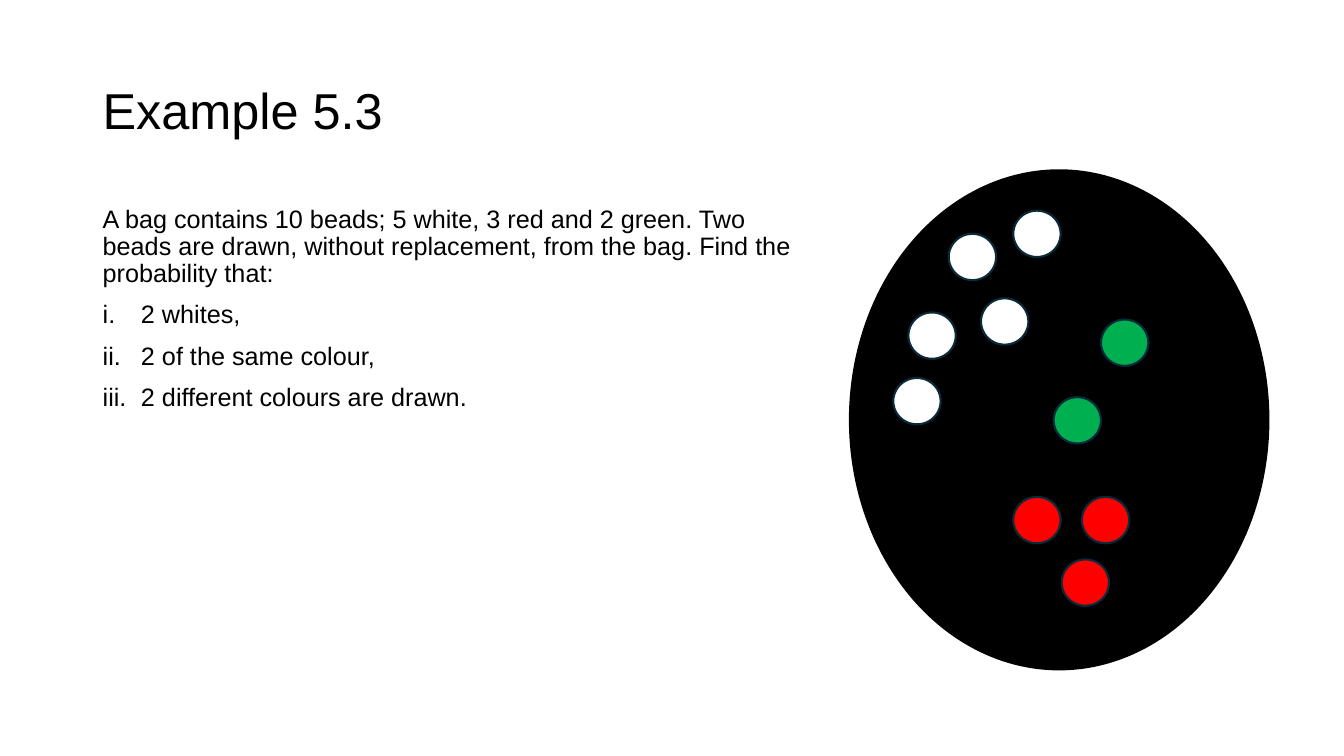
from lxml import etree
from pptx import Presentation
from pptx.dml.color import RGBColor
from pptx.enum.shapes import MSO_SHAPE
from pptx.enum.text import MSO_ANCHOR
from pptx.oxml.ns import qn
from pptx.util import Inches, Pt

OVAL = MSO_SHAPE.OVAL
TOP, MIDDLE = MSO_ANCHOR.TOP, MSO_ANCHOR.MIDDLE
FONT = "Arial"
BLACK, WHITE, RED, GREEN, OUTLINE = "000000", "FFFFFF", "FF0000", "00B050", "092A39"
BEAD_W, BEAD_H = 0.47, 0.46
INDENT = 0.38

QUESTION = ("A bag contains 10 beads; 5 white, 3 red and 2 green. Two beads are drawn, "
            "without replacement, from the bag. Find the probability that:")
PARTS = ["2 whites,", "2 of the same colour,", "2 different colours are drawn."]
BEADS = {
    WHITE: [(0.98, 0.63), (1.62, 0.4), (0.58, 1.41), (1.3, 1.27), (0.43, 2.06)],
    RED: [(2.3, 3.24), (2.1, 3.86), (1.62, 3.24)],
    GREEN: [(2.02, 2.25), (2.49, 1.48)],
}


def rgb(color):
    """Return the colour for a hex string."""
    return RGBColor.from_string(color)


def add_frame(s, box, anchor):
    """Add a wrapping text box and return its text frame."""
    tf = s.shapes.add_textbox(*map(Inches, box)).text_frame
    tf.word_wrap = True
    tf.vertical_anchor = anchor
    return tf


def add_text(p, text, size):
    """Write one run into a paragraph with tight line spacing."""
    p.line_spacing = 0.9
    r = p.add_run()
    r.text = text
    r.font.name = FONT
    r.font.size = Pt(size)
    r.font.color.rgb = rgb(BLACK)


def number(p):
    """Give a paragraph a hanging lower-case roman number."""
    pPr = p._p.get_or_add_pPr()
    pPr.set("marL", str(Inches(INDENT)))
    pPr.set("indent", str(-Inches(INDENT)))
    etree.SubElement(pPr, qn("a:buFont"), typeface="+mj-lt")
    etree.SubElement(pPr, qn("a:buAutoNum"), type="romanLcPeriod")


def add_title(s, box):
    """Place the slide title."""
    tf = add_frame(s, box, MIDDLE)
    add_text(tf.paragraphs[0], "Example 5.3", 36)


def add_question(s, box):
    """Place the question and its numbered parts."""
    tf = add_frame(s, box, TOP)
    add_text(tf.paragraphs[0], QUESTION, 18)
    for part in PARTS:
        p = tf.add_paragraph()
        number(p)
        p.space_before = Pt(10)
        add_text(p, part, 18)


def add_oval(group, box, fill, line):
    """Add a filled and outlined oval to a group."""
    sp = group.shapes.add_shape(OVAL, *map(Inches, box))
    sp.shadow.inherit = False
    sp.fill.solid()
    sp.fill.fore_color.rgb = rgb(fill)
    sp.line.color.rgb = rgb(line)
    sp.line.width = Pt(1.5)


def add_bag(s, box):
    """Draw the bag with its coloured beads as one group."""
    left, top = box[:2]
    group = s.shapes.add_group_shape()
    add_oval(group, box, BLACK, BLACK)
    for color, places in BEADS.items():
        for x, y in places:
            add_oval(group, (left + x, top + y, BEAD_W, BEAD_H), color, OUTLINE)


def main():
    """Build and save the slide."""
    prs = Presentation()
    prs.slide_width, prs.slide_height = Inches(13.33), Inches(7.5)
    s = prs.slides.add_slide(prs.slide_layouts[6])
    add_title(s, (0.92, 0.4, 11.5, 1.45))
    add_question(s, (0.92, 2, 7.08, 4.76))
    add_bag(s, (8.43, 1.69, 4.15, 4.95))
    prs.save("out.pptx")


if __name__ == "__main__":
    main()
